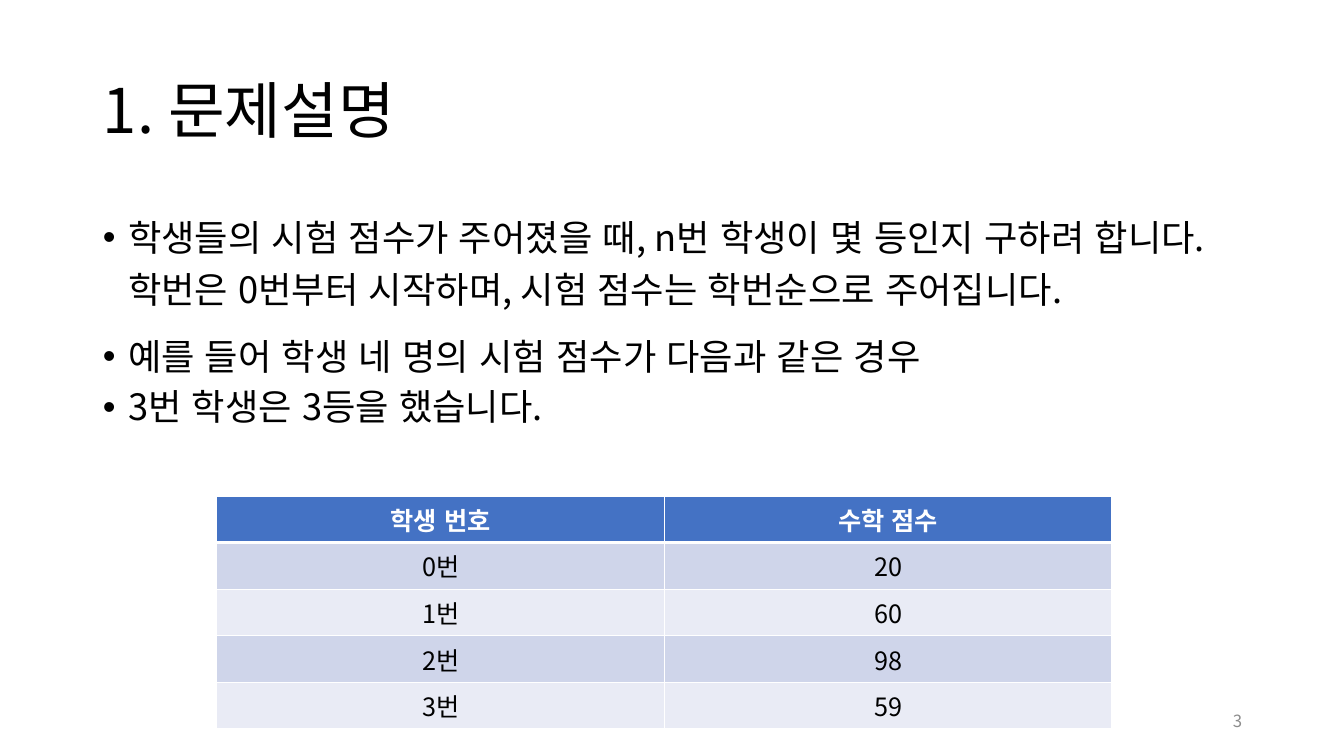
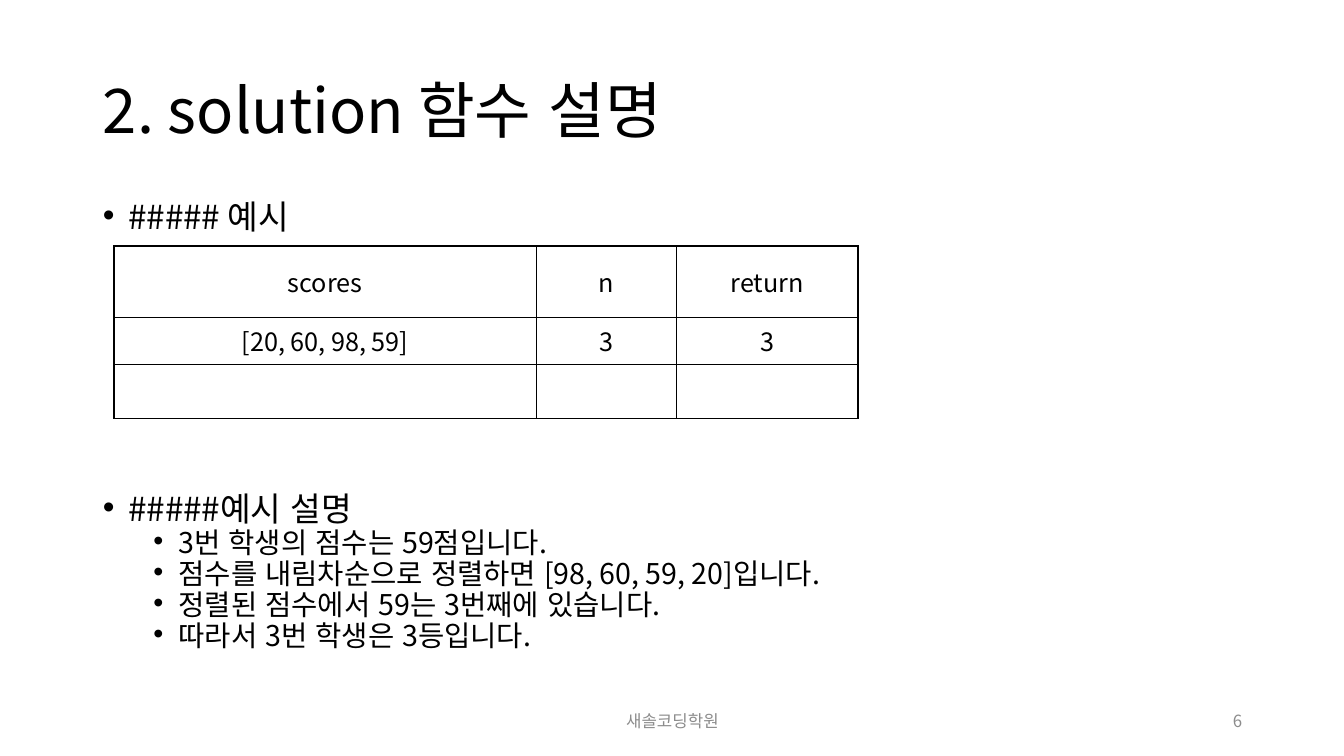
import pptx
import pptx.dml.color
import pptx.enum.lang
import pptx.enum.text
import pptx.oxml.ns
import pptx.util
from lxml import etree
from pptx.dml.color import RGBColor
from pptx.util import Inches

BLACK = RGBColor(0x00, 0x00, 0x00)
WHITE = RGBColor(0xFF, 0xFF, 0xFF)
GRAY = RGBColor(0x8C, 0x8C, 0x8C)
HEADER_BLUE = RGBColor(0x44, 0x72, 0xC4)
BAND_DARK = RGBColor(0xCF, 0xD5, 0xEA)
BAND_LIGHT = RGBColor(0xE9, 0xEB, 0xF5)

FONT = "Noto Sans CJK KR"
LEFT, CONTENT_WIDTH = 0.92, 11.5
FOOTER_TOP, FOOTER_HEIGHT = 6.95, 0.4

ALIGN = pptx.enum.text.PP_ALIGN
ANCHOR = pptx.enum.text.MSO_ANCHOR


def add_element(parent, tag, **attributes):
    element = etree.SubElement(parent, pptx.oxml.ns.qn(tag))
    for name, value in attributes.items():
        element.set(name, str(value))
    return element


class Deck:
    """Holds the shared style and the slide being filled."""

    def __init__(self):
        self.presentation = pptx.Presentation()
        self.presentation.slide_width = Inches(13.33)
        self.presentation.slide_height = Inches(7.5)
        self.slide = None

    def style(self, paragraph, size, color=BLACK, align=ALIGN.LEFT, bold=False):
        paragraph.alignment = align
        font = paragraph.font
        font.name = FONT
        font.size = pptx.util.Pt(size)
        font.bold = bold
        font.color.rgb = color
        font.language_id = pptx.enum.lang.MSO_LANGUAGE_ID.KOREAN
        defaults = paragraph._p.pPr.find(pptx.oxml.ns.qn("a:defRPr"))
        add_element(defaults, "a:ea", typeface=FONT)

    def place(self, shape, left, top, width, height):
        shape.left, shape.top = Inches(left), Inches(top)
        shape.width, shape.height = Inches(width), Inches(height)
        shape.text_frame.word_wrap = True
        shape.text_frame.auto_size = pptx.enum.text.MSO_AUTO_SIZE.NONE

    def add_slide(self, title, number):
        layout = self.presentation.slide_layouts[1]
        self.slide = self.presentation.slides.add_slide(layout)
        shape = self.slide.shapes.title
        self.place(shape, LEFT, 0.4, CONTENT_WIDTH, 1.45)
        shape.text_frame.text = title
        shape.text_frame.vertical_anchor = ANCHOR.MIDDLE
        paragraph = shape.text_frame.paragraphs[0]
        paragraph.line_spacing = 0.9
        self.style(paragraph, 44)
        self.add_footer(number, 9.42, 3, ALIGN.RIGHT)

    def add_footer(self, text, left, width, align):
        box = self.slide.shapes.add_textbox(0, 0, 0, 0)
        self.place(box, left, FOOTER_TOP, width, FOOTER_HEIGHT)
        box.text_frame.text = text
        box.text_frame.vertical_anchor = ANCHOR.MIDDLE
        self.style(box.text_frame.paragraphs[0], 12, GRAY, align)

    def add_bullets(self, items, top, height):
        """Fill the body; an item is text, level, size, line spacing, space before."""
        body = self.slide.placeholders[1]
        self.place(body, LEFT, top, CONTENT_WIDTH, height)
        frame = body.text_frame
        frame.text = "\n".join(item[0] for item in items)
        for paragraph, item in zip(frame.paragraphs, items):
            _, level, size, line_spacing, space_before = item
            paragraph.level = level
            properties = paragraph._p.get_or_add_pPr()
            properties.set("marL", str(Inches(0.25 + 0.5 * level)))
            properties.set("indent", str(Inches(-0.25)))
            add_element(properties, "a:buFont", typeface="Arial")
            add_element(properties, "a:buChar", char="•")
            paragraph.line_spacing = line_spacing
            paragraph.space_before = pptx.util.Pt(space_before)
            self.style(paragraph, size)

    def set_borders(self, cell, color, top, bottom):
        properties = cell._tc.get_or_add_tcPr()
        for tag, width in (("a:lnL", 1), ("a:lnR", 1), ("a:lnT", top), ("a:lnB", bottom)):
            line = add_element(properties, tag, w=pptx.util.Pt(width))
            add_element(add_element(line, "a:solidFill"), "a:srgbClr", val=color)

    def add_table(self, rows, left, top, widths, heights, border, fills=None,
                  header_rule=1, anchor=ANCHOR.TOP):
        """Add a table; fills gives one colour per row and a bold white header."""
        table = self.slide.shapes.add_table(
            len(rows), len(widths), Inches(left), Inches(top),
            Inches(sum(widths)), Inches(sum(heights))).table
        table.first_row = table.horz_banding = False
        for column, width in zip(table.columns, widths):
            column.width = Inches(width)
        for index, (row, texts) in enumerate(zip(table.rows, rows)):
            row.height = Inches(heights[index])
            header = index == 0 and fills is not None
            for cell, text in zip(row.cells, texts):
                self.set_borders(cell, border,
                                 top=header_rule if index == 1 else 1,
                                 bottom=header_rule if index == 0 else 1)
                if fills:
                    cell.fill.solid()
                    cell.fill.fore_color.rgb = fills[index]
                else:
                    cell.fill.background()
                cell.vertical_anchor = anchor
                cell.text = text
                self.style(cell.text_frame.paragraphs[0], 18,
                           WHITE if header else BLACK, ALIGN.CENTER, header)


def add_problem_slide(deck):
    deck.add_slide("1. 문제설명", "3")
    deck.add_bullets([
        ("학생들의 시험 점수가 주어졌을 때, n번 학생이 몇 등인지 구하려 합니다. "
         "학번은 0번부터 시작하며, 시험 점수는 학번순으로 주어집니다.", 0, 25.9, 1.2, 0),
        ("예를 들어 학생 네 명의 시험 점수가 다음과 같은 경우", 0, 25.9, 1.2, 10),
        ("3번 학생은 3등을 했습니다.", 0, 25.9, 0.85, 10),
    ], top=2, height=2.4)
    scores = [20, 60, 98, 59]
    rows = [("학생 번호", "수학 점수")]
    rows += [(f"{student}번", str(score)) for student, score in enumerate(scores)]
    deck.add_table(rows, 2.15, 4.92, [4.44] * 2, [0.41] * 5, WHITE,
                   fills=[HEADER_BLUE] + [BAND_DARK, BAND_LIGHT] * 2, header_rule=3)


def add_solution_slide(deck):
    deck.add_slide("2. solution 함수 설명", "6")
    steps = ["3번 학생의 점수는 59점입니다.",
             "점수를 내림차순으로 정렬하면 [98, 60, 59, 20]입니다.",
             "정렬된 점수에서 59는 3번째에 있습니다.",
             "따라서 3번 학생은 3등입니다."]
    deck.add_bullets(
        [("##### 예시", 0, 23.8, 0.7, 0), ("#####예시 설명", 0, 23.8, 0.7, 189)]
        + [(step, 1, 20.4, 0.7, 5) for step in steps], top=2, height=4.76)
    deck.add_table([("scores", "n", "return"), ("[20, 60, 98, 59]", "3", "3"), ("", "", "")],
                   1.13, 2.44, [4.19, 1.39, 1.8], [0.71, 0.46, 0.54], BLACK,
                   anchor=ANCHOR.MIDDLE)
    deck.add_footer("새솔코딩학원", 4.42, 4.5, ALIGN.CENTER)


def main():
    deck = Deck()
    add_problem_slide(deck)
    add_solution_slide(deck)
    deck.presentation.save("out.pptx")


if __name__ == "__main__":
    main()
